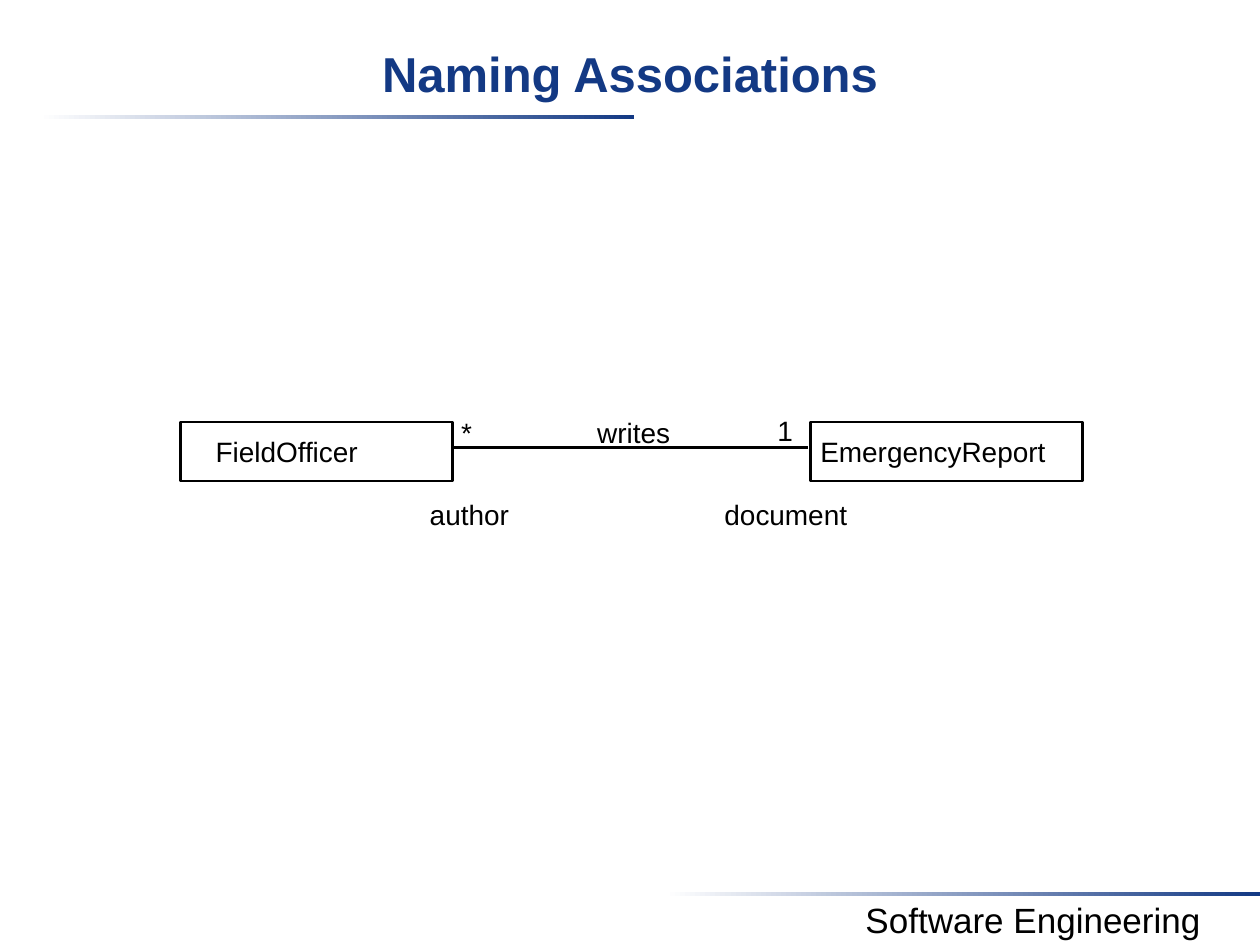
from pptx import Presentation
from pptx.dml.color import RGBColor
from pptx.enum.shapes import MSO_CONNECTOR, MSO_SHAPE
from pptx.enum.text import MSO_ANCHOR, PP_ALIGN
from pptx.oxml.ns import qn
from pptx.util import Pt
from lxml.etree import SubElement

COLORS = {"navy": "133984", "black": "000000", "white": "FFFFFF"}
FONT = "Arial"


def color(name):
    """Return the named palette colour."""
    return RGBColor.from_string(COLORS[name])


def write_text(frame, text, size, align, ink="black", bold=False, insets=(0, 0, 0, 0)):
    """Fill a text frame with one formatted paragraph."""
    frame.word_wrap = True
    frame.margin_left, frame.margin_top, frame.margin_right, frame.margin_bottom = map(Pt, insets)
    paragraph = frame.paragraphs[0]
    paragraph.text = text
    paragraph.alignment = align
    font = paragraph.font
    font.name, font.size, font.bold = FONT, Pt(size), bold
    font.color.rgb = color(ink)


def add_label(slide, text, box, size=16, align=PP_ALIGN.LEFT, insets=(0, 0, 0, 0)):
    """Add a text label in the given box."""
    label = slide.shapes.add_textbox(*map(Pt, box))
    write_text(label.text_frame, text, size, align, insets=insets)


def add_rule(slide, box):
    """Add a bar fading from white to navy."""
    rule = slide.shapes.add_shape(MSO_SHAPE.RECTANGLE, *map(Pt, box))
    rule.shadow.inherit = False
    rule.line.fill.background()
    rule.fill.gradient()
    rule.fill.gradient_angle = 0
    for stop, name, position in zip(rule.fill.gradient_stops, ("white", "navy"), (0, 1)):
        stop.color.rgb = color(name)
        stop.position = position


def add_header(slide, box):
    """Place the title and the rule below it."""
    left, top, width, height = box
    title = slide.shapes.title
    title.left, title.top, title.width, title.height = map(Pt, box)
    title.text_frame.vertical_anchor = MSO_ANCHOR.MIDDLE
    write_text(title.text_frame, "Naming Associations", 28, PP_ALIGN.CENTER,
               "navy", True, (7.2, 4.3, 7.2, 3.6))
    add_rule(slide, (left + 22.4, top + 51.4, 340, 2.2))


def add_footer(slide, box):
    """Place the course name and the rule above it."""
    left, top, width, height = box
    add_rule(slide, (left, top, width, 2.2))
    add_label(slide, "Software Engineering", (left + 80.8, top, 259.2, height),
              20, PP_ALIGN.CENTER, (7.2, 3.6, 7.2, 3.6))


def add_class(slide, name, box, indent):
    """Add a class rectangle with its name indented from the left."""
    rectangle = slide.shapes.add_shape(MSO_SHAPE.RECTANGLE, *map(Pt, box))
    rectangle.shadow.inherit = False
    rectangle.fill.solid()
    rectangle.fill.fore_color.rgb = color("white")
    rectangle.line.color.rgb = color("black")
    rectangle.line.width = Pt(1.5)
    rectangle.text_frame.vertical_anchor = MSO_ANCHOR.MIDDLE
    write_text(rectangle.text_frame, name, 16, PP_ALIGN.LEFT, insets=(indent, 0, 0, 0))


def add_association(slide, box):
    """Draw two classes and the named association between them."""
    left, top, width, height = box
    class_width = 155.5
    right_class = left + width - class_width
    line_y = Pt(top + 14.4)
    association = slide.shapes.add_connector(
        MSO_CONNECTOR.STRAIGHT, Pt(left + 153.3), line_y, Pt(right_class - 1.4), line_y)
    association.line.color.rgb = color("black")
    association.line.width = Pt(1.5)
    SubElement(association._element.spPr, qn("a:effectLst"))

    for text, dx, dy, label_width in (
        ("*", 160.6, -3.6, 9.4),
        ("1", 341.3, -5, 9.4),
        ("writes", 238.3, -3.6, 57.6),
        ("author", 142.6, 43.2, 57.6),
        ("document", 311, 43.2, 77),
    ):
        add_label(slide, text, (left + dx, top + dy, label_width, 19.4))

    add_class(slide, "FieldOfficer", (left, top, class_width, height), 20.2)
    add_class(slide, "EmergencyReport", (right_class, top, class_width, height), 5.8)


def main():
    """Build and save the slide."""
    presentation = Presentation()
    presentation.slide_width, presentation.slide_height = Pt(720), Pt(540)
    slide = presentation.slides.add_slide(presentation.slide_layouts[5])
    add_header(slide, (0, 14.4, 720, 54))
    add_footer(slide, (380, 509.8, 340, 31.7))
    add_association(slide, (103, 241.2, 515.5, 33.8))
    presentation.save("out.pptx")


if __name__ == "__main__":
    main()
